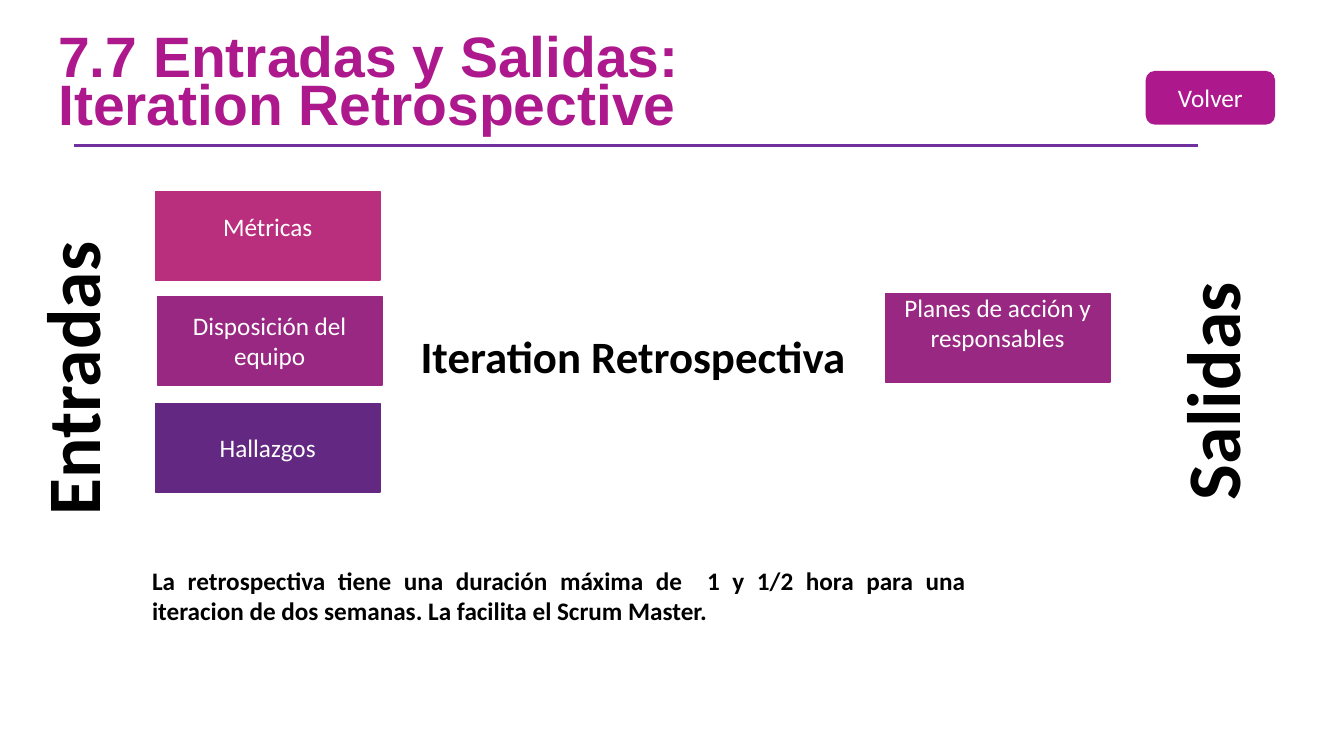
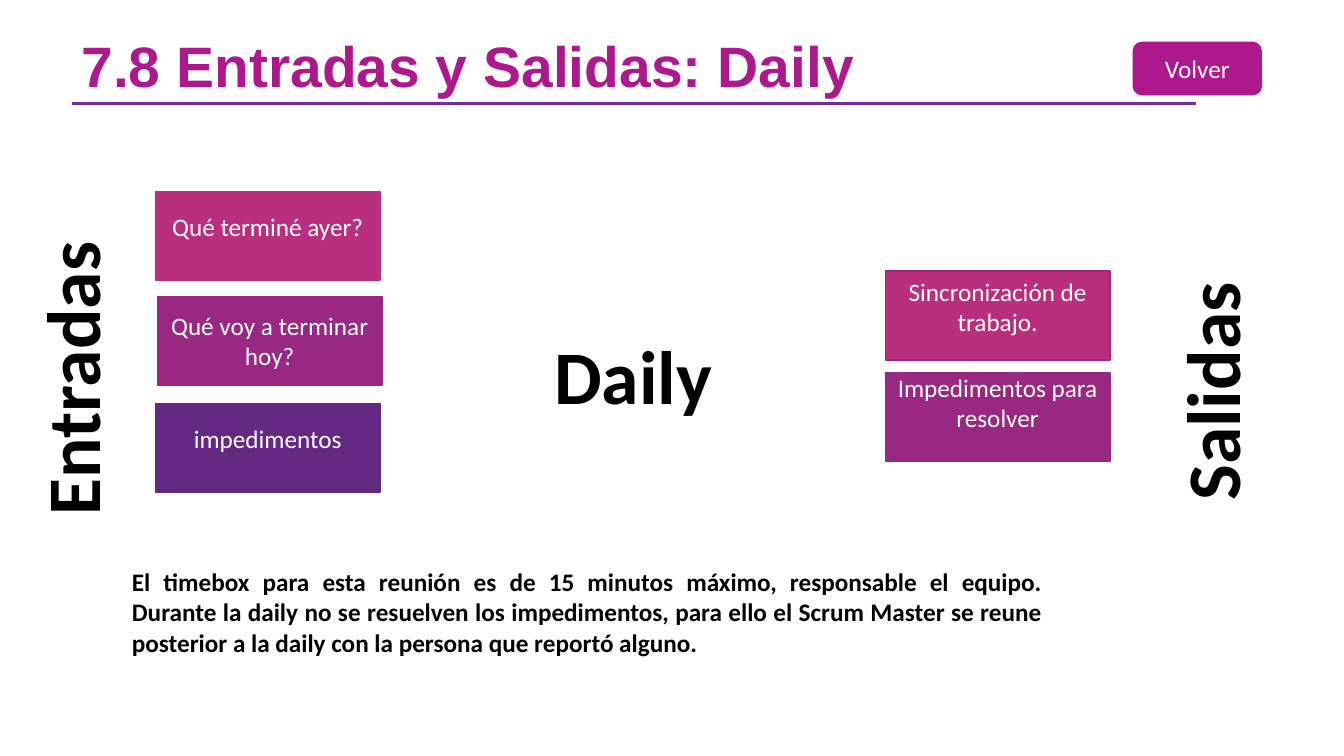
from lxml import etree
from pptx import Presentation
from pptx.dml.color import RGBColor
from pptx.enum import shapes, text
from pptx.oxml import ns
from pptx.util import Inches, Pt

MAGENTA = RGBColor(0xAD, 0x19, 0x8D)
PINK = RGBColor(0xBA, 0x2F, 0x7D)
PURPLE = RGBColor(0x98, 0x28, 0x81)
VIOLET = RGBColor(0x63, 0x28, 0x81)
RULE = RGBColor(0x70, 0x30, 0xA0)
BLACK = RGBColor(0, 0, 0)
WHITE = RGBColor(0xFF, 0xFF, 0xFF)

BOX_W, BOX_H = 2.23, 0.88
LABELS = [("Entradas", -0.77, 3.25, 2.94), ("Salidas", 10.81, 3.38, 2.39)]

# Boxes: text, left, top, fill, line, space kept free under the text
SLIDES = [
    {
        "title": ("7.7 Entradas y Salidas: Iteration Retrospective", 0.48, 0.31, 8.3, 1.11),
        "rule": (0.73, 1.44),
        "button": (11.37, 0.71),
        "event": ("Iteration Retrospectiva", 4.05, 3.21, 4.46, 0.64, 32),
        "boxes": [
            ("Métricas", 1.54, 1.9, PINK, PINK, 0.18),
            ("Disposición del equipo", 1.56, 2.94, PURPLE, PURPLE, 0),
            ("Hallazgos", 1.54, 4, VIOLET, VIOLET, 0),
            ("Planes de acción y responsables", 8.78, 2.91, PURPLE, PURPLE, 0.3),
        ],
        "note": ("La retrospectiva tiene una duración máxima de  1 y 1/2 hora para una "
                 "iteracion de dos semanas. La facilita el Scrum Master.",
                 1.41, 5.56, 8.27, 0.71),
    },
    {
        "title": ("7.8 Entradas y Salidas: Daily", 0.71, 0.42, 10.33, 0.61),
        "rule": (0.71, 1.03),
        "button": (11.24, 0.42),
        "event": ("Daily", 5.39, 3.21, 1.78, 1.01, 54),
        "boxes": [
            ("Qué terminé ayer?", 1.54, 1.9, PINK, PINK, 0.18),
            ("Qué voy a terminar hoy?", 1.56, 2.94, PURPLE, PURPLE, 0),
            ("impedimentos", 1.54, 4, VIOLET, VIOLET, 0.18),
            ("Sincronización de trabajo.", 8.78, 2.69, PINK, PURPLE, 0.18),
            ("Impedimentos para resolver", 8.78, 3.7, PURPLE, PURPLE, 0.3),
        ],
        "note": ("El timebox para esta reunión es de 15 minutos máximo, responsable el "
                 "equipo. Durante la daily no se resuelven los impedimentos, para ello el "
                 "Scrum Master se reune posterior a la daily con la persona que reportó "
                 "alguno.", 1.21, 5.57, 9.23, 1.31),
    },
]


def add_text(s, words, x, y, w, h, size=18, color=BLACK, font="Calibri",
             align=text.PP_ALIGN.CENTER, wrap=True, outline=0):
    sp = s.shapes.add_textbox(Inches(x), Inches(y), Inches(w), Inches(h))
    tf = sp.text_frame
    tf.word_wrap = wrap
    p = tf.paragraphs[0]
    p.alignment = align
    r = p.add_run()
    r.text = words
    r.font.name, r.font.size, r.font.bold = font, Pt(size), True
    r.font.color.rgb = color
    if outline:
        ln = etree.Element(ns.qn("a:ln"), w=str(Pt(outline)))
        fill = etree.SubElement(ln, ns.qn("a:solidFill"))
        etree.SubElement(fill, ns.qn("a:srgbClr"), val=str(WHITE))
        r.font._element.insert(0, ln)
    return sp


def add_box(s, kind, words, x, y, w, h, fill, line, below=0):
    sp = s.shapes.add_shape(kind, Inches(x), Inches(y), Inches(w), Inches(h))
    sp.shadow.inherit = False
    sp.fill.solid()
    sp.fill.fore_color.rgb = fill
    sp.line.color.rgb = line
    sp.line.width = Pt(1)
    tf = sp.text_frame
    tf.word_wrap = True
    tf.vertical_anchor = text.MSO_ANCHOR.MIDDLE
    tf.margin_top, tf.margin_bottom = 0, Inches(below)
    p = tf.paragraphs[0]
    p.alignment = text.PP_ALIGN.CENTER
    r = p.add_run()
    r.text = words
    r.font.name, r.font.size = "Calibri", Pt(18)
    r.font.color.rgb = WHITE


prs = Presentation()
prs.slide_width, prs.slide_height = Inches(13.33), Inches(7.5)

for content in SLIDES:
    s = prs.slides.add_slide(prs.slide_layouts[6])

    # Rule under the title
    x, y = content["rule"]
    rule = s.shapes.add_connector(shapes.MSO_CONNECTOR.STRAIGHT, Inches(x), Inches(y),
                                  Inches(x + 11.15), Inches(y))
    rule.line.color.rgb = RULE
    rule.line.width = Pt(2.25)
    etree.SubElement(rule._element.spPr, ns.qn("a:effectLst"))

    # Title
    sp = add_text(s, *content["title"], size=40.7, color=MAGENTA, font="Arial",
                  align=text.PP_ALIGN.LEFT)
    sp.text_frame.vertical_anchor = text.MSO_ANCHOR.MIDDLE
    sp.text_frame.paragraphs[0].line_spacing = 0.7

    # Inputs and outputs
    for words, x, y, fill, line, below in content["boxes"]:
        add_box(s, shapes.MSO_SHAPE.RECTANGLE, words, x, y, BOX_W, BOX_H, fill, line, below)

    # Event name and side labels
    add_text(s, *content["event"], wrap=False, outline=1.06)
    for words, x, y, w in LABELS:
        sp = add_text(s, words, x, y, w, 1.01, size=54, wrap=False, outline=0.75)
        sp.rotation = 270

    # Note and back button
    add_text(s, *content["note"], align=text.PP_ALIGN.JUSTIFY)
    add_box(s, shapes.MSO_SHAPE.ROUNDED_RECTANGLE, "Volver", *content["button"],
            1.27, 0.52, MAGENTA, MAGENTA)

prs.save("out.pptx")
